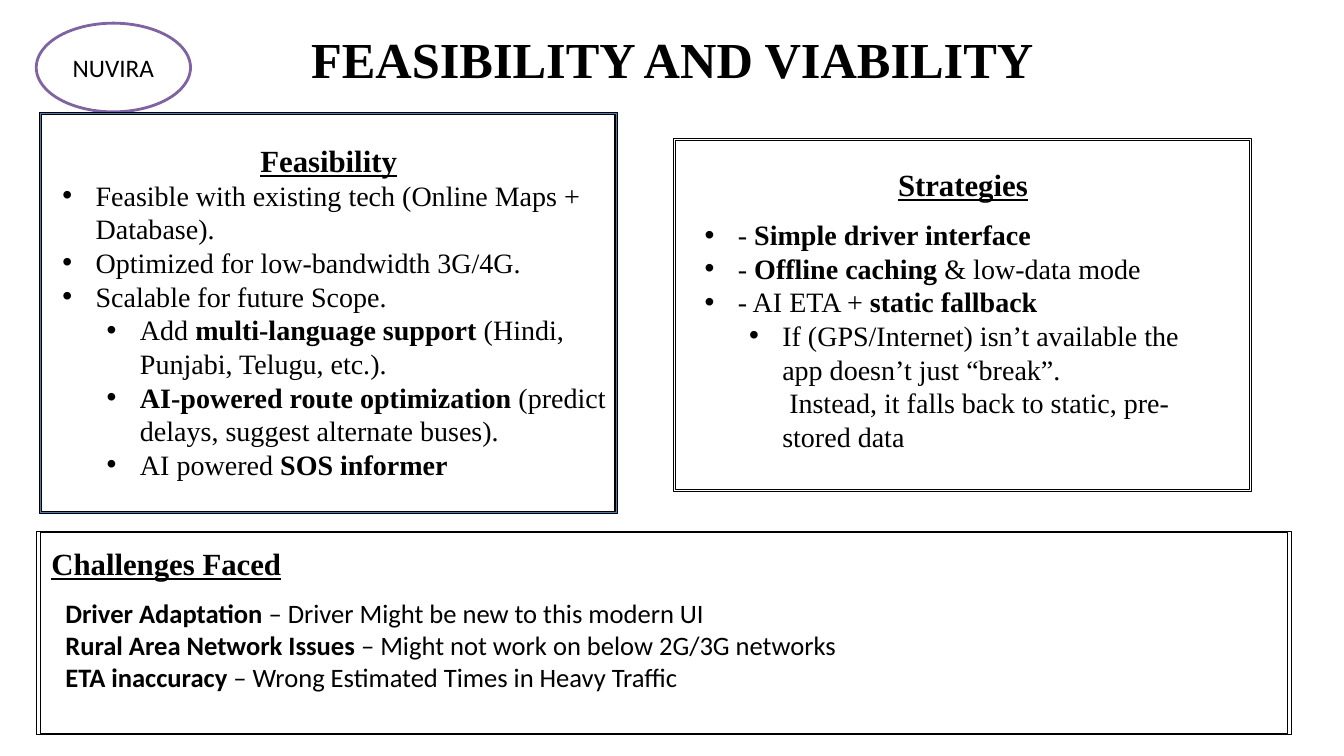
from dataclasses import dataclass

from lxml import etree
from pptx import Presentation
from pptx.dml.color import RGBColor
from pptx.enum.shapes import MSO_SHAPE
from pptx.enum.text import MSO_ANCHOR, MSO_AUTO_SIZE, PP_ALIGN
from pptx.oxml.ns import qn
from pptx.util import Inches, Pt

ELLIPSE = MSO_SHAPE.OVAL
MIDDLE = MSO_ANCHOR.MIDDLE
GROW = MSO_AUTO_SIZE.SHAPE_TO_FIT_TEXT
LEFT, CENTER = PP_ALIGN.LEFT, PP_ALIGN.CENTER
TITLE_ONLY = 5


@dataclass(frozen=True)
class Theme:
    serif: str = "Times New Roman"
    sans: str = "Calibri"
    ink: RGBColor = RGBColor(0x00, 0x00, 0x00)
    paper: RGBColor = RGBColor(0xFF, 0xFF, 0xFF)
    badge_line: RGBColor = RGBColor(0x80, 0x64, 0xA2)
    frame_blue: RGBColor = RGBColor(0x4A, 0x7E, 0xBB)
    title_size: Pt = Pt(36)
    heading_size: Pt = Pt(22)
    body_size: Pt = Pt(20)
    challenge_size: Pt = Pt(19)
    badge_size: Pt = Pt(18)
    heading_leading: Pt = Pt(36)


THEME = Theme()
TITLE = {"name": THEME.serif, "size": THEME.title_size, "bold": True}
HEADING = {"name": THEME.serif, "size": THEME.heading_size, "bold": True, "underline": True}
BODY = {"name": THEME.serif, "size": THEME.body_size}
CHALLENGE = {"name": THEME.sans, "size": THEME.challenge_size}
BADGE = {"name": THEME.sans, "size": THEME.badge_size}

# Each item is (level, text); ** switches bold on and off.
FEASIBILITY = [
    (0, "Feasible with existing tech (Online Maps + Database)."),
    (0, "Optimized for low-bandwidth 3G/4G."),
    (0, "Scalable for future Scope."),
    (1, "Add **multi-language support** (Hindi, Punjabi, Telugu, etc.)."),
    (1, "**AI-powered route optimization** (predict delays, suggest alternate buses)."),
    (1, "AI powered **SOS informer**"),
]
STRATEGIES = [
    (0, "- **Simple driver interface**"),
    (0, "- **Offline caching **& low-data mode"),
    (0, "- AI ETA + **static fallback**"),
    (1, "If (GPS/Internet) isn’t available the app doesn’t just “break”.\n"
        " Instead, it falls back to static, pre-stored data"),
]
CHALLENGES = [
    (0, "**Driver Adaptation **– Driver Might be new to this modern UI"),
    (0, "**Rural Area Network Issues **– Might not work on below 2G/3G networks"),
    (0, "**ETA inaccuracy **– Wrong Estimated Times in Heavy Traffic"),
]


def place(shape, box):
    for side, length in zip(("left", "top", "width", "height"), box):
        setattr(shape, side, Inches(length))


def write(paragraph, text, font_format, align=LEFT):
    """Fill a paragraph, turning ** into bold switches and newlines into breaks."""
    paragraph.alignment = align
    for part_number, part in enumerate(text.split("**")):
        for line_number, line in enumerate(part.split("\n")):
            if line_number:
                paragraph.add_line_break()
            if not line:
                continue
            run = paragraph.add_run()
            run.text = line
            run.font.color.rgb = THEME.ink
            for name, value in ({"bold": part_number % 2 == 1} | font_format).items():
                setattr(run.font, name, value)


def add_bullet(paragraph, level):
    paragraph.level = level
    properties = paragraph._p.get_or_add_pPr()
    properties.set("marL", str(Inches(0.33 + 0.44 * level)))
    properties.set("indent", str(Inches(-0.33)))
    etree.SubElement(properties, qn("a:buFont")).set("typeface", "Arial")
    etree.SubElement(properties, qn("a:buChar")).set("char", "•")


def add_title(slide, text):
    title = slide.shapes.title
    place(title, (0.67, -0.05, 12, 1.25))
    title.text_frame.vertical_anchor = MIDDLE
    write(title.text_frame.paragraphs[0], text, TITLE, CENTER)


def add_badge(slide, text, box):
    badge = slide.shapes.add_shape(ELLIPSE, *map(Inches, box))
    badge.shadow.inherit = False
    badge.fill.solid()
    badge.fill.fore_color.rgb = THEME.paper
    badge.line.color.rgb = THEME.badge_line
    badge.line.width = Pt(2)
    badge.text_frame.vertical_anchor = MIDDLE
    write(badge.text_frame.paragraphs[0], text, BADGE, CENTER)


def add_frame(slide, box, rim=(0.02, 0.02), fill=None):
    """Draw a hollow double-lined border; rim is its thickness across and down."""
    left, top, width, height = map(Inches, box)
    right, bottom = left + width, top + height
    rim_x, rim_y = map(Inches, rim)
    builder = slide.shapes.build_freeform(left, top)
    builder.add_line_segments([(right, top), (right, bottom), (left, bottom)])
    builder.move_to(left + rim_x, top + rim_y)
    builder.add_line_segments([
        (left + rim_x, bottom - rim_y),
        (right - rim_x, bottom - rim_y),
        (right - rim_x, top + rim_y),
    ])
    frame = builder.convert_to_shape()
    frame.shadow.inherit = False
    frame.line.color.rgb = THEME.ink
    frame.line.width = Pt(0.75)
    if fill is None:
        frame.fill.background()
    else:
        frame.fill.solid()
        frame.fill.fore_color.rgb = fill


def add_heading(slide, text, box, align=CENTER):
    frame = slide.shapes.add_textbox(*map(Inches, box)).text_frame
    margins = dict.fromkeys(("margin_left", "margin_top", "margin_right", "margin_bottom"), 0)
    for name, value in ({"word_wrap": True, "auto_size": GROW} | margins).items():
        setattr(frame, name, value)
    write(frame.paragraphs[0], text, HEADING, align)
    frame.paragraphs[0].line_spacing = THEME.heading_leading


def add_items(slide, items, box, font_format=BODY, bulleted=True):
    frame = slide.shapes.add_textbox(*map(Inches, box)).text_frame
    frame.word_wrap = bulleted
    frame.auto_size = GROW
    for number, (level, text) in enumerate(items):
        paragraph = frame.add_paragraph() if number else frame.paragraphs[0]
        write(paragraph, text, font_format)
        if bulleted:
            add_bullet(paragraph, level)


def main():
    deck = Presentation()
    deck.slide_width, deck.slide_height = Inches(13.33), Inches(7.5)
    slide = deck.slides.add_slide(deck.slide_layouts[TITLE_ONLY])

    add_title(slide, "FEASIBILITY AND VIABILITY")
    add_badge(slide, "NUVIRA", (0.36, 0.23, 1.53, 0.88))

    add_frame(slide, (6.68, 1.37, 5.73, 3.51))
    add_heading(slide, "Strategies", (7.99, 1.51, 3.12, 0.4))
    add_items(slide, STRATEGIES, (6.89, 2.11, 5.08, 2.78))

    add_frame(slide, (0.39, 1.12, 5.73, 3.97), fill=THEME.frame_blue)
    add_heading(slide, "Feasibility", (1.7, 1.27, 3.12, 0.52))
    add_items(slide, FEASIBILITY, (0.52, 1.72, 5.6, 3.43))

    add_frame(slide, (0.36, 5.27, 12.45, 2.02), rim=(0.04, 0.01))
    add_heading(slide, "Challenges Faced", (0.51, 5.27, 6.79, 0.45), LEFT)
    add_items(slide, CHALLENGES, (0.55, 5.87, 7.97, 1.06), CHALLENGE, bulleted=False)

    deck.save("out.pptx")


if __name__ == "__main__":
    main()
